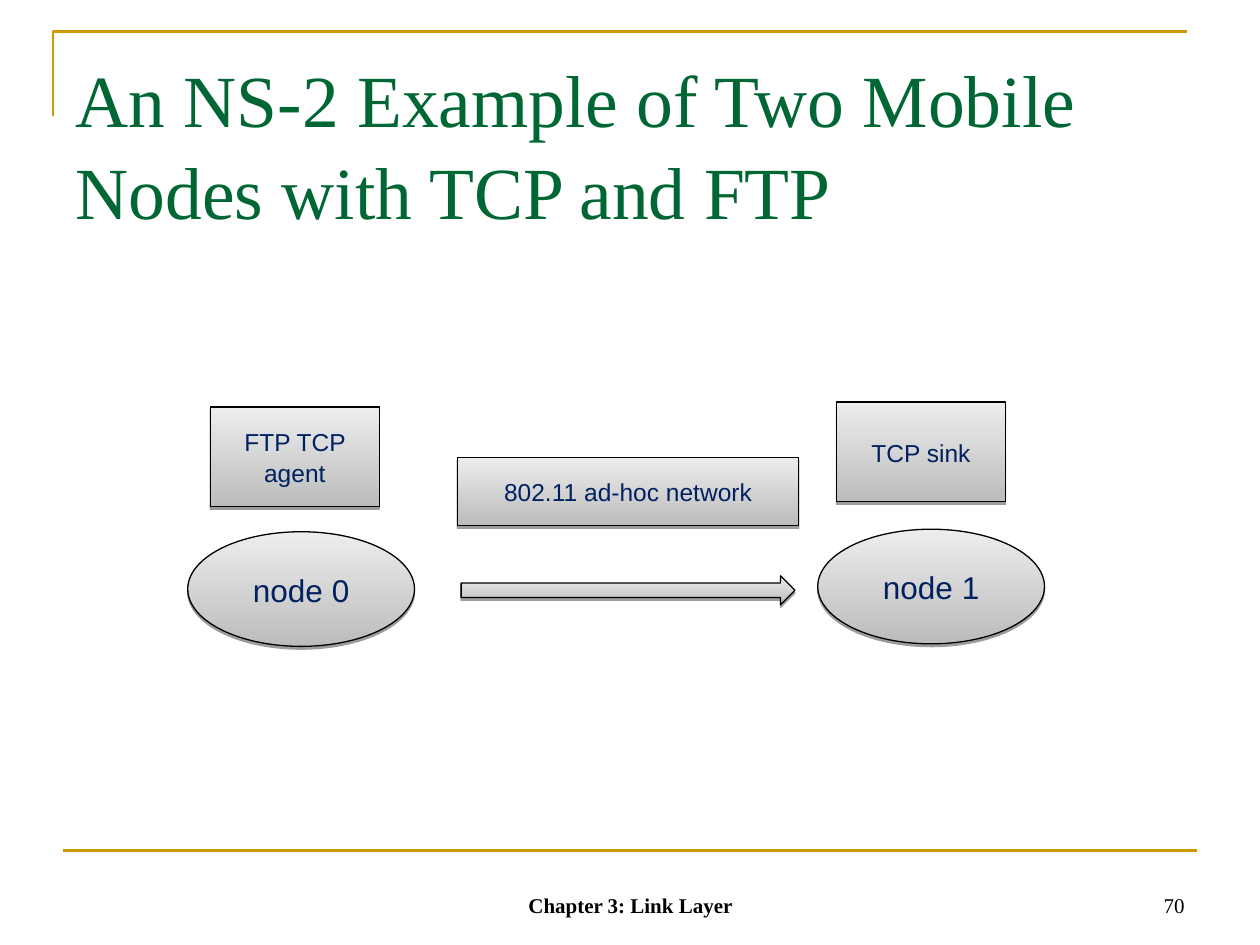
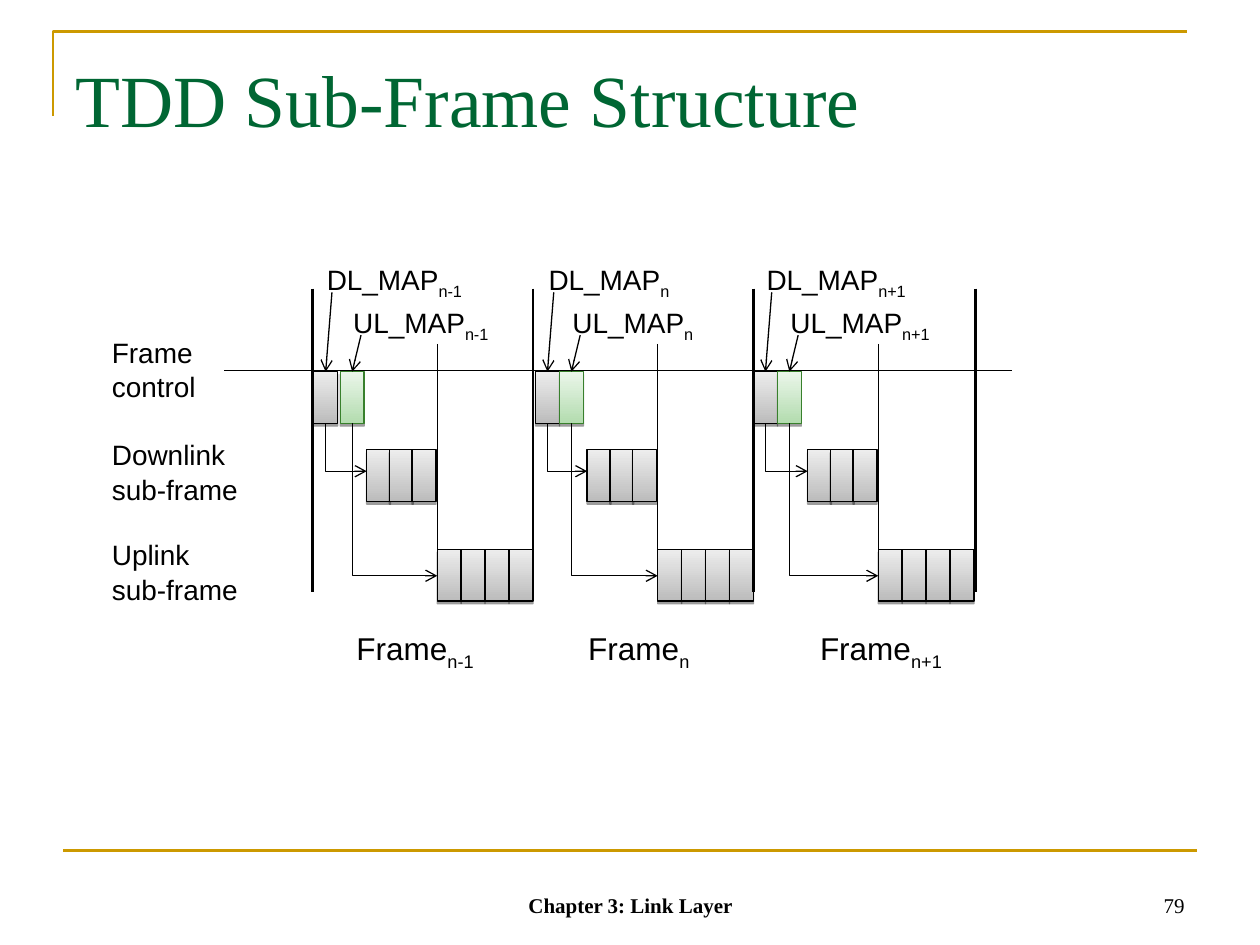
from dataclasses import dataclass

from lxml.etree import SubElement
from pptx import Presentation
from pptx.dml.color import RGBColor
from pptx.enum.shapes import MSO_CONNECTOR, MSO_SHAPE
from pptx.enum.text import MSO_ANCHOR, PP_ALIGN
from pptx.oxml.ns import qn
from pptx.util import Inches, Pt


@dataclass(frozen=True)
class Theme:
    serif: str = "Times New Roman"
    sans: str = "Arial"
    title_color: str = "006633"
    rule_color: str = "CC9900"
    ink: str = "000000"
    box_text: str = "002060"
    grey: tuple = ("BCBCBC", "EDEDED")
    green: tuple = ("B3DCAF", "EBF6EA")
    green_line: str = "38802C"
    title_size: float = 42
    large_size: float = 18
    label_size: float = 16
    box_size: float = 14
    footer_size: float = 12
    thin: float = 0.75
    thick: float = 1.5
    line_spacing: float = 1.04


THEME = Theme()


@dataclass(frozen=True)
class Frame:
    index: str
    start: float
    control_left: float
    control_step: float


FRAMES = [
    Frame("n-1", 2.48, 2.49, 0.21),
    Frame("n", 4.23, 4.25, 0.19),
    Frame("n+1", 5.98, 5.98, 0.19),
]
FRAMES_END = 7.74
CELL_WIDTH, CELL_HEIGHT = 0.19, 0.41
CONTROL_TOP, DOWNLINK_TOP, UPLINK_TOP = 2.95, 3.57, 4.36
DOWNLINK_OFFSET, UPLINK_OFFSET = 0.43, 0.99


def write_text(text_frame, text, subscript="", size=THEME.label_size, font=THEME.sans,
               color=THEME.ink, bold=False, align=PP_ALIGN.LEFT, anchor=MSO_ANCHOR.TOP):
    """Fill the frame with one paragraph; a newline in text becomes a line break."""
    text_frame.word_wrap = True
    text_frame.vertical_anchor = anchor
    paragraph = text_frame.paragraphs[0]
    paragraph.alignment = align
    paragraph.line_spacing = THEME.line_spacing
    for number, line in enumerate(text.split("\n")):
        if number:
            paragraph.add_line_break()
        paragraph.add_run().text = line
    if subscript:
        run = paragraph.add_run()
        run.text = subscript
        run.font._element.set("baseline", "-25000")
    for run in paragraph.runs:
        run.font.name = font
        run.font.size = Pt(size)
        run.font.bold = bold
        run.font.color.rgb = RGBColor.from_string(color)


def add_label(slide, text, left, top, width, height, **text_format):
    box = slide.shapes.add_textbox(Inches(left), Inches(top), Inches(width), Inches(height))
    write_text(box.text_frame, text, **text_format)
    return box


def style_line(shape, color, width, arrow=False):
    shape.line.color.rgb = RGBColor.from_string(color)
    shape.line.width = Pt(width)
    if arrow:
        outline = shape.element.spPr.find(qn("a:ln"))
        SubElement(outline, qn("a:tailEnd"), type="arrow")


def add_line(slide, start, end, color=THEME.ink, width=THEME.thin, arrow=False):
    connector = slide.shapes.add_connector(
        MSO_CONNECTOR.STRAIGHT, *[Inches(value) for value in (*start, *end)])
    style_line(connector, color, width, arrow)
    SubElement(connector.element.spPr, qn("a:effectLst"))
    return connector


def add_path(slide, points, color=THEME.ink, width=THEME.thin, arrow=False):
    """Draw an open, unfilled outline through the points."""
    first, *others = [(Inches(x), Inches(y)) for x, y in points]
    builder = slide.shapes.build_freeform(*first)
    builder.add_line_segments(others, close=False)
    shape = builder.convert_to_shape()
    shape.fill.background()
    shape.shadow.inherit = False
    style_line(shape, color, width, arrow)


def add_drop_shadow(shape):
    shape.shadow.inherit = False
    effects = shape.element.spPr.find(qn("a:effectLst"))
    shadow = SubElement(effects, qn("a:outerShdw"), blurRad="0", dist="20320",
                        dir="5400000", rotWithShape="0")
    color = SubElement(shadow, qn("a:srgbClr"), val=THEME.ink)
    SubElement(color, qn("a:alpha"), val="38000")


def add_box(slide, left, top, width, height, text="", size=THEME.box_size,
            kind=MSO_SHAPE.RECTANGLE, gradient=THEME.grey, line_color=THEME.ink):
    shape = slide.shapes.add_shape(
        kind, Inches(left), Inches(top), Inches(width), Inches(height))
    shape.fill.gradient()
    shape.fill.gradient_angle = 90
    for stop, color in zip(shape.fill.gradient_stops, gradient):
        stop.color.rgb = RGBColor.from_string(color)
    style_line(shape, line_color, THEME.thin)
    add_drop_shadow(shape)
    if text:
        write_text(shape.text_frame, text, size=size, color=THEME.box_text,
                   align=PP_ALIGN.CENTER, anchor=MSO_ANCHOR.MIDDLE)
    return shape


def add_titled_slide(presentation, title_text, number):
    """Add a slide with its title, gold rules, footer and page number."""
    slide = presentation.slides.add_slide(presentation.slide_layouts[5])
    add_path(slide, [(0.42, 0.92), (0.42, 0.25), (9.42, 0.25)],
             color=THEME.rule_color, width=THEME.thick)
    add_line(slide, (0.5, 6.75), (9.5, 6.75), color=THEME.rule_color, width=THEME.thick)
    title = slide.shapes.title
    title.left, title.top = Inches(0.5), Inches(0.3)
    title.width, title.height = Inches(9), Inches(1.25)
    title.text_frame.margin_top = Inches(0.1)
    write_text(title.text_frame, title_text, size=THEME.title_size, font=THEME.serif,
               color=THEME.title_color)
    footer_format = dict(size=THEME.footer_size, font=THEME.serif, anchor=MSO_ANCHOR.BOTTOM)
    add_label(slide, "Chapter 3: Link Layer", 3.42, 6.83, 3.17, 0.5, bold=True,
              align=PP_ALIGN.CENTER, **footer_format)
    add_label(slide, str(number), 7.17, 6.83, 2.33, 0.5, align=PP_ALIGN.RIGHT, **footer_format)
    return slide


def add_network_diagram(slide):
    add_box(slide, 1.67, 3.23, 1.34, 0.79, "FTP TCP agent")
    add_box(slide, 6.64, 3.19, 1.34, 0.79, "TCP sink")
    add_box(slide, 3.63, 3.63, 2.71, 0.54, "802.11 ad-hoc network")
    for left, top, name in [(1.49, 4.22, "node 0"), (6.49, 4.2, "node 1")]:
        add_box(slide, left, top, 1.8, 0.91, name, size=THEME.large_size, kind=MSO_SHAPE.OVAL)
    add_box(slide, 3.66, 4.57, 2.65, 0.23, kind=MSO_SHAPE.RIGHT_ARROW)


def add_cells(slide, left, top, count, step):
    for position in range(count):
        add_box(slide, left + position * step, top, CELL_WIDTH, CELL_HEIGHT)


def add_map(slide, frame, name, cell_left, label_top, lean, target, **cell_format):
    """Add a control cell, its label and arrow, and the elbow to the cells it describes."""
    cell = add_box(slide, cell_left, CONTROL_TOP, CELL_WIDTH, CELL_HEIGHT, **cell_format)
    middle = cell_left + CELL_WIDTH / 2
    add_label(slide, name, middle - 0.09, label_top, 1.48, 0.41, subscript=frame.index)
    arrow = add_line(slide, (middle + lean, label_top + 0.3), (middle, CONTROL_TOP), arrow=True)
    arrow.end_connect(cell, 0)
    target_left, target_middle = target
    add_path(slide, [(middle, CONTROL_TOP + CELL_HEIGHT), (middle, target_middle),
                     (target_left, target_middle)], arrow=True)


def add_frame(slide, frame):
    downlink_left = frame.start + DOWNLINK_OFFSET
    uplink_left = frame.start + UPLINK_OFFSET
    add_cells(slide, downlink_left, DOWNLINK_TOP, count=3, step=0.18)
    add_cells(slide, uplink_left, UPLINK_TOP, count=4, step=0.19)
    add_line(slide, (uplink_left, 2.73), (uplink_left, 4.76))
    add_map(slide, frame, "DL_MAP", frame.control_left, 2.02, 0.05,
            (downlink_left, 3.74))
    add_map(slide, frame, "UL_MAP", frame.control_left + frame.control_step, 2.36, 0.07,
            (uplink_left, 4.57), gradient=THEME.green, line_color=THEME.green_line)


def add_subframe_diagram(slide):
    add_line(slide, (1.78, 2.94), (8.03, 2.94))
    for text, top in [("Frame\ncontrol", 2.6), ("Downlink\nsub-frame", 3.41),
                      ("Uplink\nsub-frame", 4.21)]:
        add_label(slide, text, 0.79, top, 1.33, 0.64)
    for position, frame in enumerate(FRAMES):
        add_frame(slide, frame)
        add_label(slide, "Frame", 2.73 + 1.84 * position, 4.93, 1.21, 0.44,
                  subscript=frame.index, size=THEME.large_size)
    for boundary in [*(frame.start for frame in FRAMES), FRAMES_END]:
        add_line(slide, (boundary, 2.29), (boundary, 4.7), width=THEME.thick)


def main():
    presentation = Presentation()
    presentation.slide_width, presentation.slide_height = Inches(10), Inches(7.5)
    add_network_diagram(add_titled_slide(
        presentation, "An NS-2 Example of Two Mobile Nodes with TCP and FTP", 70))
    add_subframe_diagram(add_titled_slide(presentation, "TDD Sub-Frame Structure", 79))
    presentation.save("out.pptx")


if __name__ == "__main__":
    main()
